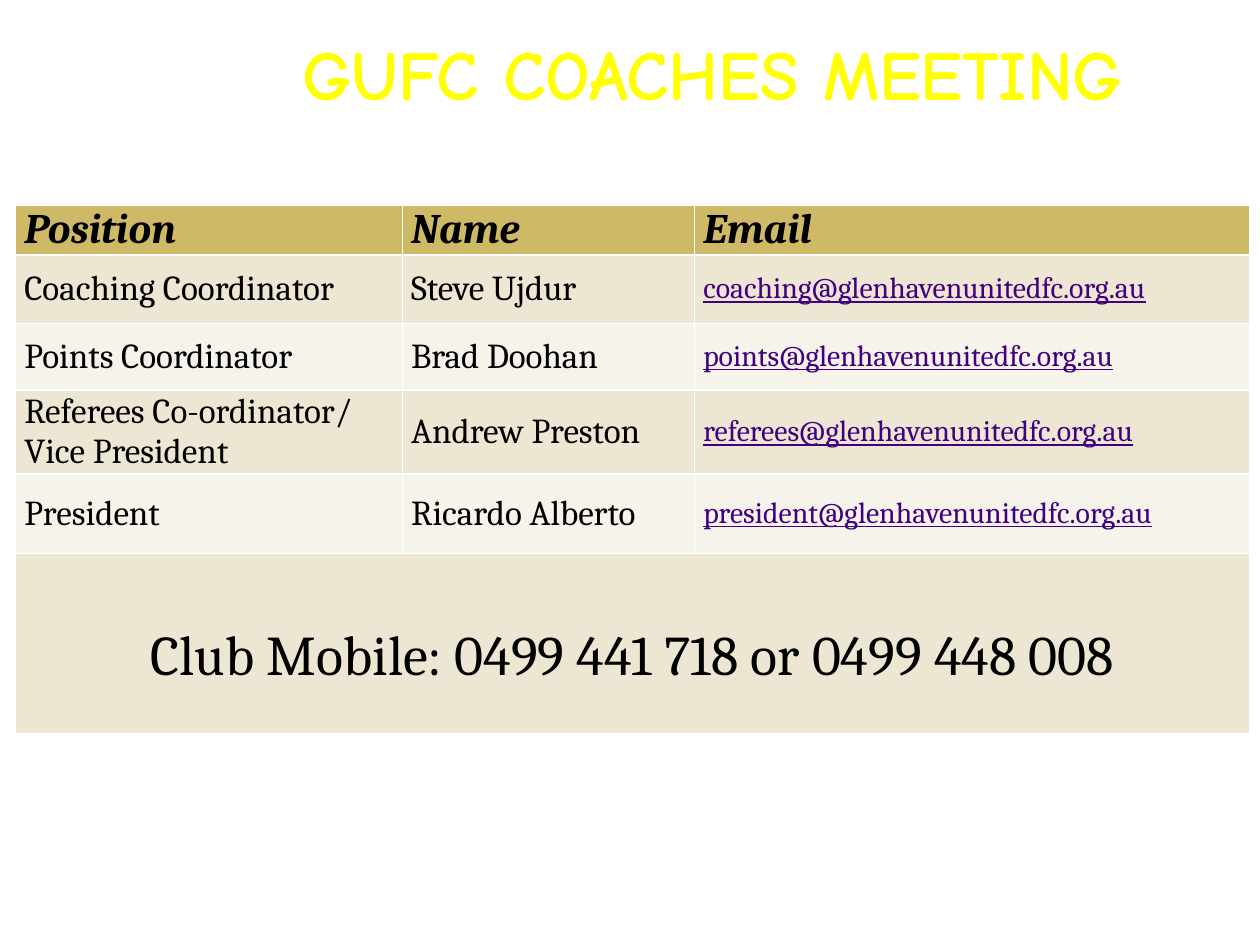
from pptx import Presentation
from pptx.dml.color import RGBColor
from pptx.enum import text
from pptx.util import Pt

COLORS = {"title": "FFFF00", "header": "CEB966", "odd": "EDE6D3", "even": "F6F3EA",
          "ink": "000000", "email": "410082"}
TITLE = "GUFC COACHES MEETING"
HEADINGS = ("Position", "Name", "Email")
DOMAIN = "glenhavenunitedfc.org.au"
CONTACTS = [
    ("Coaching Coordinator", "Steve Ujdur", "coaching"),
    ("Points Coordinator", "Brad Doohan", "points"),
    ("Referees Co-ordinator/ Vice President", "Andrew Preston", "referees"),
    ("President", "Ricardo Alberto", "president"),
]
CLUB_MOBILE = "Club Mobile: 0499 441 718 or 0499 448 008"
COLUMN_WIDTHS = (221, 167, 317.5)
ROW_HEIGHTS = (26, 38.9, 38.2, 41.8, 45.4, 103)


def rgb(name):
    return RGBColor.from_string(COLORS[name])


def style(paragraph, size, color="ink", face="Cambria", bold=False, italic=False, underline=False):
    font = paragraph.font
    font.name, font.size, font.color.rgb = face, Pt(size), rgb(color)
    font.bold, font.italic, font.underline = bold, italic, underline


def fill_cell(cell, words, background, size, **look):
    cell.fill.solid()
    cell.fill.fore_color.rgb = rgb(background)
    cell.text = words
    cell.vertical_anchor = text.MSO_ANCHOR.MIDDLE
    cell.margin_left = cell.margin_right = Pt(5)
    cell.margin_top = cell.margin_bottom = 0
    style(cell.text_frame.paragraphs[0], size, **look)


deck = Presentation()
deck.slide_width, deck.slide_height = Pt(720), Pt(540)
slide = deck.slides.add_slide(deck.slide_layouts[6])

title = slide.shapes.add_textbox(Pt(112.3), Pt(11.5), Pt(589.7), Pt(54)).text_frame
title.word_wrap = True
title.vertical_anchor = text.MSO_ANCHOR.BOTTOM
title.margin_left = title.margin_right = Pt(3.6)
title.margin_top = title.margin_bottom = 0
title.text = TITLE
title.paragraphs[0].alignment = text.PP_ALIGN.CENTER
style(title.paragraphs[0], 40, "title", "Comic Neue", bold=True)

contacts = slide.shapes.add_table(
    len(ROW_HEIGHTS), len(COLUMN_WIDTHS), Pt(8.9), Pt(117),
    Pt(sum(COLUMN_WIDTHS)), Pt(sum(ROW_HEIGHTS))).table
for column, width in zip(contacts.columns, COLUMN_WIDTHS):
    column.width = Pt(width)
for row, height in zip(contacts.rows, ROW_HEIGHTS):
    row.height = Pt(height)

for col, heading in enumerate(HEADINGS):
    fill_cell(contacts.cell(0, col), heading, "header", 24, bold=True, italic=True)
for row, (position, person, mailbox) in enumerate(CONTACTS, start=1):
    band = "odd" if row % 2 else "even"
    fill_cell(contacts.cell(row, 0), position, band, 20)
    fill_cell(contacts.cell(row, 1), person, band, 20)
    fill_cell(contacts.cell(row, 2), f"{mailbox}@{DOMAIN}", band, 17, color="email", underline=True)

last = len(CONTACTS) + 1
mobile = contacts.cell(last, 0)
mobile.merge(contacts.cell(last, len(HEADINGS) - 1))
fill_cell(mobile, CLUB_MOBILE, "odd", 32)
mobile.vertical_anchor = text.MSO_ANCHOR.TOP
mobile.margin_top = Pt(41)
mobile.text_frame.paragraphs[0].alignment = text.PP_ALIGN.CENTER

deck.save("out.pptx")
